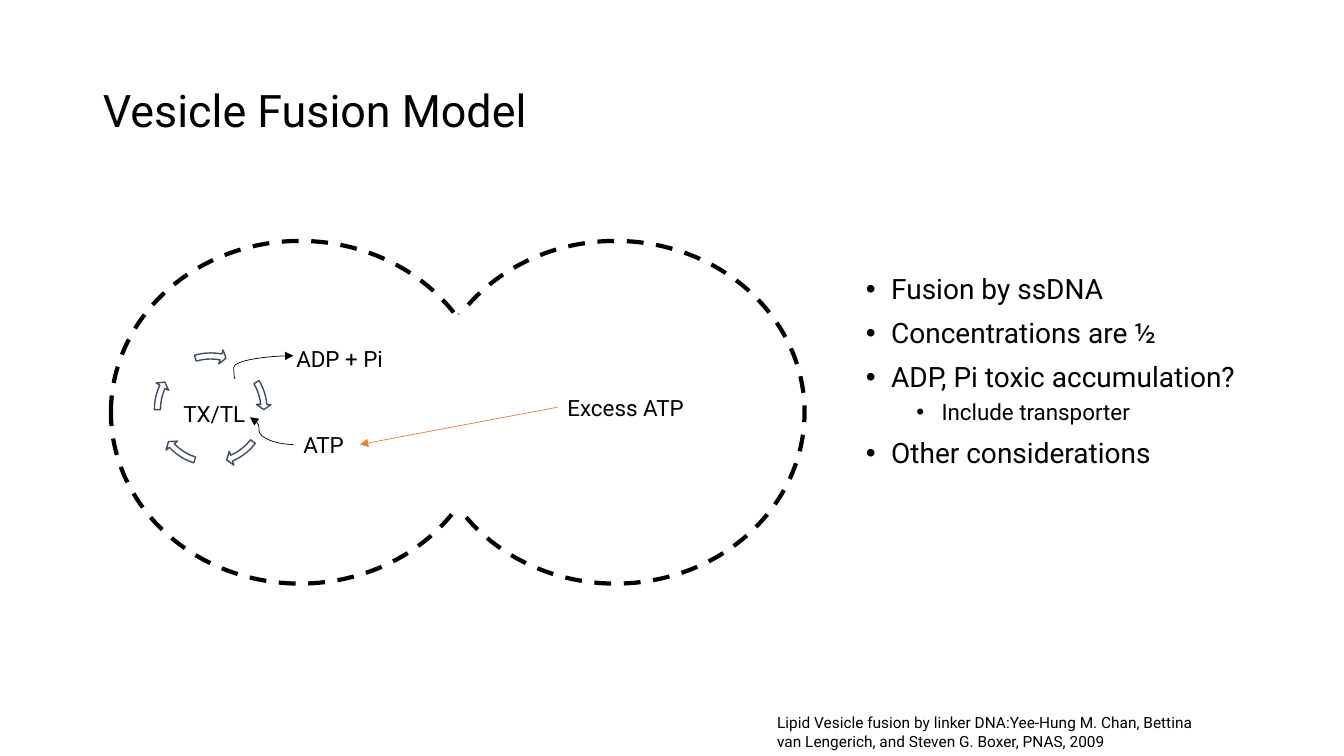
from dataclasses import dataclass

from lxml import etree
from pptx import Presentation
from pptx.dml.color import RGBColor
from pptx.enum.dml import MSO_LINE
from pptx.enum.shapes import MSO_CONNECTOR, MSO_SHAPE
from pptx.enum.text import MSO_ANCHOR, MSO_AUTO_SIZE, PP_ALIGN
from pptx.oxml.ns import qn
from pptx.util import Inches, Pt

OVAL = MSO_SHAPE.OVAL
RECTANGLE = MSO_SHAPE.RECTANGLE
CIRCULAR_ARROW = MSO_SHAPE.CIRCULAR_ARROW
STRAIGHT = MSO_CONNECTOR.STRAIGHT
CURVE = MSO_CONNECTOR.CURVE
DASH = MSO_LINE.DASH
LEFT = PP_ALIGN.LEFT
MIDDLE = MSO_ANCHOR.MIDDLE
FIT_SHAPE = MSO_AUTO_SIZE.SHAPE_TO_FIT_TEXT
NO_AUTOFIT = MSO_AUTO_SIZE.NONE


@dataclass(frozen=True)
class Theme:
    font: str = "Roboto"
    black: str = "000000"
    white: str = "FFFFFF"
    cycle: str = "3E4C60"
    transfer: str = "ED7D31"
    title: int = 32
    bullet: int = 20
    label: int = 16
    citation: int = 11


THEME = Theme()
BULLETS = [
    ("Fusion by ssDNA", 0),
    ("Concentrations are ½", 0),
    ("ADP, Pi toxic accumulation?", 0),
    ("Include transporter", 1),
    ("Other considerations", 0),
]
CYCLE_ANGLES = [(212.94, 197.65), (40.16, 22.52), (82.12, 64.49),
                (122.99, 107.7), (168.67, 151.98)]


def write_text(paragraph, text, size=THEME.label, spacing=None, before=None):
    paragraph.alignment = LEFT
    paragraph.line_spacing = spacing
    if before is not None:
        paragraph.space_before = Pt(before)
    run = paragraph.add_run()
    run.text = text
    run.font.name = THEME.font
    run.font.size = Pt(size)
    run.font.color.rgb = RGBColor.from_string(THEME.black)


def add_box(slide, left, top, width, height, fit=FIT_SHAPE):
    box = slide.shapes.add_textbox(
        Inches(left), Inches(top), Inches(width), Inches(height))
    box.text_frame.word_wrap = True
    box.text_frame.auto_size = fit
    return box.text_frame


def add_label(slide, text, left, top, width, height=0.37, **text_format):
    frame = add_box(slide, left, top, width, height)
    write_text(frame.paragraphs[0], text, **text_format)


def add_outline(slide, kind, left, top, width, height,
                fill=None, line=None, weight=1):
    shape = slide.shapes.add_shape(
        kind, Inches(left), Inches(top), Inches(width), Inches(height))
    shape.shadow.inherit = False
    if fill:
        shape.fill.solid()
        shape.fill.fore_color.rgb = RGBColor.from_string(fill)
    else:
        shape.fill.background()
    if line:
        shape.line.color.rgb = RGBColor.from_string(line)
        shape.line.width = Pt(weight)
    else:
        shape.line.fill.background()
    return shape


def add_arrow(slide, kind, start, end, color=THEME.black, bend=None):
    arrow = slide.shapes.add_connector(
        kind, *(Inches(value) for value in (*start, *end)))
    arrow.line.color.rgb = RGBColor.from_string(color)
    arrow.line.width = Pt(0.5)
    properties = arrow._element.spPr
    etree.SubElement(properties.find(qn("a:ln")), qn("a:tailEnd"), type="triangle")
    etree.SubElement(properties, qn("a:effectLst"))
    if bend is not None:
        guides = properties.find(qn("a:prstGeom")).find(qn("a:avLst"))
        etree.SubElement(guides, qn("a:gd"), name="adj1",
                         fmla=f"val {round(bend * 100000)}")


def set_title(slide, text, left, top, width, height):
    title = slide.shapes.title
    title.left, title.top = Inches(left), Inches(top)
    title.width, title.height = Inches(width), Inches(height)
    title.text_frame.vertical_anchor = MIDDLE
    write_text(title.text_frame.paragraphs[0], text, size=THEME.title, spacing=0.9)


def add_bullets(slide, left, top, width, height):
    frame = add_box(slide, left, top, width, height, fit=NO_AUTOFIT)
    for index, (text, level) in enumerate(BULLETS):
        paragraph = frame.add_paragraph() if index else frame.paragraphs[0]
        paragraph.level = level
        properties = paragraph._p.get_or_add_pPr()
        properties.set("marL", str(Inches(0.25 + 0.5 * level)))
        properties.set("indent", str(Inches(-0.25)))
        etree.SubElement(properties, qn("a:buFont"), typeface="Arial")
        etree.SubElement(properties, qn("a:buChar"), char="•")
        write_text(paragraph, text, spacing=0.9,
                   size=THEME.label if level else THEME.bullet,
                   before=(5 if level else 10) if index else None)


def add_vesicles(slide, left, top, width, height):
    diameter = 3.75
    for vesicle_left in (left, left + width - diameter):
        vesicle = add_outline(slide, OVAL, vesicle_left, top, diameter, height,
                              line=THEME.black, weight=3)
        vesicle.line.dash_style = DASH
    add_outline(slide, RECTANGLE, left + 3.05, top + 0.73, 0.78, 1.93,
                fill=THEME.white)


def add_reaction_cycle(slide, left, top, size):
    add_label(slide, "TX/TL", left + 0.23, top + 0.46, 1.11)
    for end_angle, start_angle in CYCLE_ANGLES:
        arrow = add_outline(slide, CIRCULAR_ARROW, left, top, size, size,
                            fill=THEME.white, line=THEME.cycle)
        for index, value in enumerate((0.05, 3.36, end_angle, start_angle, 0.06)):
            arrow.adjustments[index] = value
    add_arrow(slide, CURVE, (left + 0.84, top + 0.3), (left + 1.42, top + 0.07),
              bend=-0.02)
    add_label(slide, "ADP + Pi", left + 1.35, top - 0.08, 1.31)
    add_label(slide, "ATP", left + 1.42, top + 0.77, 0.66)
    add_arrow(slide, CURVE, (left + 1.42, top + 0.95), (left + 0.99, top + 0.68),
              bend=0.79)


def add_atp_supply(slide, left, top, width):
    add_label(slide, "Excess ATP", left, top, width)
    add_arrow(slide, STRAIGHT, (left, top + 0.18), (left - 1.96, top + 0.55),
              color=THEME.transfer)


def main():
    presentation = Presentation()
    presentation.slide_width = Inches(13.33)
    presentation.slide_height = Inches(7.5)
    slide = presentation.slides.add_slide(presentation.slide_layouts[5])
    set_title(slide, "Vesicle Fusion Model", 0.92, 0.4, 11.5, 1.45)
    add_bullets(slide, 8.49, 2.68, 4.53, 4.42)
    add_vesicles(slide, 1.1, 2.39, 6.88, 3.4)
    add_reaction_cycle(slide, 1.49, 3.46, 1.2)
    add_atp_supply(slide, 5.53, 3.86, 1.44)
    add_label(slide, "Lipid Vesicle fusion by linker DNA:Yee-Hung M. Chan, Bettina "
              "van Lengerich, and Steven G. Boxer, PNAS, 2009",
              7.61, 7.03, 4.53, 0.47, size=THEME.citation)
    presentation.save("out.pptx")


if __name__ == "__main__":
    main()
